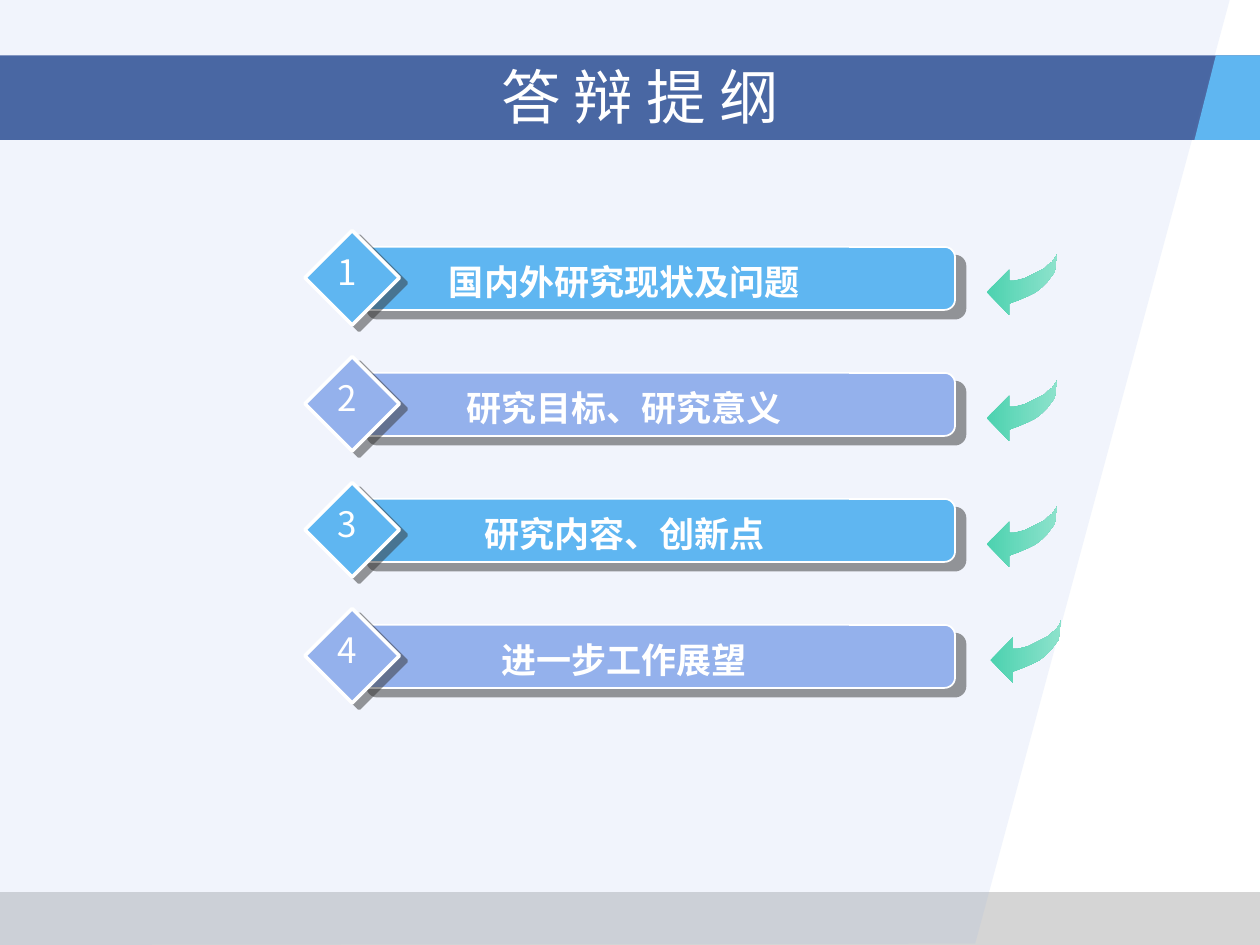
from lxml import etree
from pptx import Presentation
from pptx.dml.color import RGBColor
from pptx.enum.shapes import MSO_SHAPE
from pptx.enum.text import MSO_ANCHOR, MSO_AUTO_SIZE, PP_ALIGN
from pptx.oxml.ns import qn
from pptx.util import Inches, Pt

RECTANGLE = MSO_SHAPE.RECTANGLE
ROUNDED = MSO_SHAPE.ROUNDED_RECTANGLE
DIAMOND = MSO_SHAPE.DIAMOND
CENTER = PP_ALIGN.CENTER
TOP, MIDDLE = MSO_ANCHOR.TOP, MSO_ANCHOR.MIDDLE
FIXED, GROW = MSO_AUTO_SIZE.NONE, MSO_AUTO_SIZE.SHAPE_TO_FIT_TEXT

THEME = {
    "font": "Noto Sans CJK SC",
    "title_size": 34,
    "item_size": 20,
    "white": "FFFFFF",
    "footer": "969696",
    "panel": "94B1EC",
    "band": "173D89",
    "accent": "5FB6F1",
    "shadow": "333333",
    "arrow": ("4CD2AF", "8DE2CC"),
}


def paint(shape, color, opacity=100, line_width=0, shadow=None):
    shape.fill.solid()
    shape.fill.fore_color.rgb = RGBColor.from_string(color)
    if opacity < 100:
        color_element = shape._element.spPr.find(qn("a:solidFill"))[0]
        etree.SubElement(color_element, qn("a:alpha"), val=str(opacity * 1000))
    if line_width:
        shape.line.color.rgb = RGBColor.from_string(THEME["white"])
        shape.line.width = Pt(line_width)
    else:
        shape.line.fill.background()
    shape.shadow.inherit = False
    if shadow:
        distance, angle = shadow
        effects = shape._element.spPr.find(qn("a:effectLst"))
        outer = etree.SubElement(effects, qn("a:outerShdw"), blurRad="0", dist=str(Pt(distance)),
                                 dir=str(angle * 60000), algn="ctr", rotWithShape="0")
        shade = etree.SubElement(outer, qn("a:srgbClr"), val=THEME["shadow"])
        etree.SubElement(shade, qn("a:alpha"), val="50000")


def add_text(shapes, text, left, top, width, height, size, bold=False, wrap=True,
             anchor=TOP, auto_size=GROW):
    box = shapes.add_textbox(Inches(left), Inches(top), Inches(width), Inches(height))
    frame = box.text_frame
    frame.word_wrap = wrap
    frame.auto_size = auto_size
    frame.vertical_anchor = anchor
    paragraph = frame.paragraphs[0]
    paragraph.alignment = CENTER
    run = paragraph.add_run()
    run.text = text
    run.font.size = Pt(size)
    run.font.bold = bold
    run.font.color.rgb = RGBColor.from_string(THEME["white"])
    run.font.name = THEME["font"]
    etree.SubElement(run._r.get_or_add_rPr(), qn("a:ea"), typeface=THEME["font"])


presentation = Presentation()
presentation.slide_width = Inches(10)
presentation.slide_height = Inches(7.5)
slide = presentation.slides.add_slide(presentation.slide_layouts[6])
shapes = slide.shapes
hundredth = Inches(0.01)

footer = shapes.add_shape(RECTANGLE, 0, Inches(7.08), Inches(10), Inches(0.42))
paint(footer, THEME["footer"], opacity=40)

builder = shapes.build_freeform(0, 0, scale=hundredth)
builder.add_line_segments([(976, 0), (774, 749), (0, 750)])
paint(builder.convert_to_shape(), THEME["panel"], opacity=13)

band = shapes.add_shape(RECTANGLE, 0, Inches(0.44), Inches(10), Inches(0.67))
paint(band, THEME["band"], opacity=77)

builder = shapes.build_freeform(965, 44, scale=hundredth)
builder.add_line_segments([(948, 111), (1000, 111), (1000, 44)])
paint(builder.convert_to_shape(), THEME["accent"])

add_text(shapes, "答 辩 提 纲", 0.58, 0.45, 9, 0.62, THEME["title_size"],
         anchor=MIDDLE, auto_size=FIXED)

arrow_points = [
    (56, 5), (55, 11), (54, 16), (51, 20), (48, 24), (44, 28), (39, 32), (33, 35),
    (26, 38), (18, 41), (18, 50), (0, 32), (18, 14), (18, 23), (22, 23), (26, 22),
    (30, 21), (34, 19), (38, 17), (42, 15), (46, 13), (49, 10), (52, 8), (54, 5), (56, 2),
]
items = [
    ("国内外研究现状及问题", THEME["accent"], 7.83, 2),
    ("研究目标、研究意义", THEME["panel"], 7.83, 3),
    ("研究内容、创新点", THEME["accent"], 7.83, 4),
    ("进一步工作展望", THEME["panel"], 7.86, 4.92),
]
for number, (label, color, arrow_left, arrow_top) in enumerate(items, start=1):
    row_top = 0.83 + number
    group = shapes.add_group_shape()
    bar = group.shapes.add_shape(ROUNDED, Inches(2.83), Inches(row_top + 0.13),
                                 Inches(4.75), Inches(0.5))
    paint(bar, color, line_width=1, shadow=(7.8, 40))
    diamond = group.shapes.add_shape(DIAMOND, Inches(2.42), Inches(row_top),
                                     Inches(0.75), Inches(0.75))
    paint(diamond, color, line_width=2, shadow=(5, 37))
    add_text(group.shapes, label, 3.08, row_top + 0.19, 3.75, 0.44,
             THEME["item_size"], bold=True)
    add_text(group.shapes, str(number), 2.58, row_top + 0.11, 0.36, 0.44,
             THEME["item_size"], wrap=False)

    builder = shapes.build_freeform(56, 0, scale=hundredth)
    builder.add_line_segments(arrow_points)
    arrow = builder.convert_to_shape(Inches(arrow_left), Inches(arrow_top))
    paint(arrow, color)
    arrow.fill.gradient()
    arrow.fill.gradient_angle = 0
    for stop, stop_color in zip(arrow.fill.gradient_stops, THEME["arrow"]):
        stop.color.rgb = RGBColor.from_string(stop_color)

presentation.save("out.pptx")
